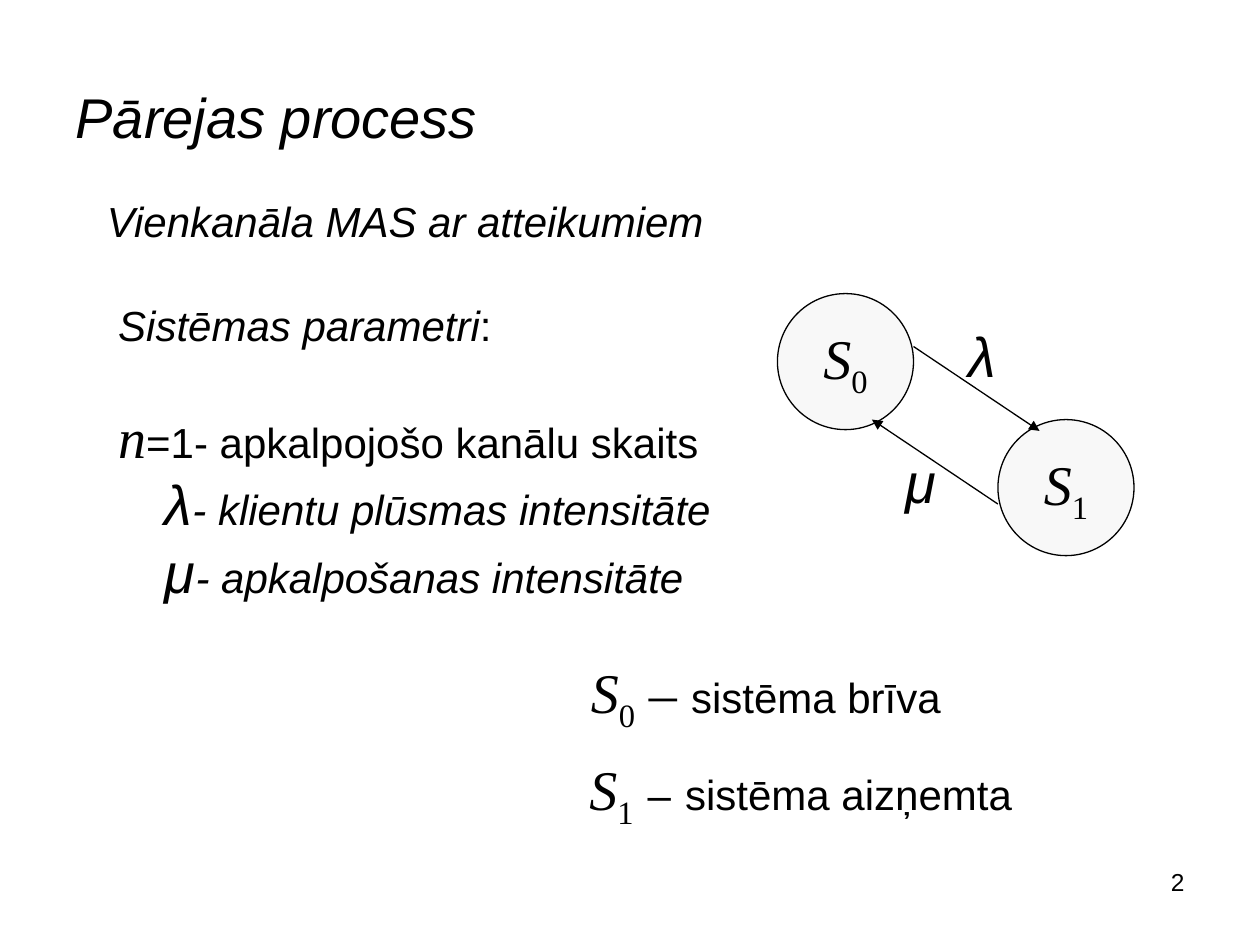
from pptx import Presentation
from pptx.dml.color import RGBColor
from pptx.enum.shapes import MSO_CONNECTOR as CONN, MSO_SHAPE as SHAPE
from pptx.enum.text import MSO_ANCHOR as ANCHOR, MSO_AUTO_SIZE as FIT, PP_ALIGN as ALIGN
from pptx.oxml.ns import qn
from pptx.util import Inches, Pt
from lxml.etree import SubElement

COLORS = {"ink": "000000", "state": "F8F8F8"}
SANS, SERIF = "Arial", "Times New Roman"
SIZE = 1.08


def color(name):
    return RGBColor.from_string(COLORS[name])


def style(font, size, italic=False, face=SANS):
    font.name, font.size, font.italic = face, Pt(size), italic
    font.color.rgb = color("ink")


def add_run(para, text, size=24, italic=False, face=SANS, sub=False):
    run = para.add_run()
    run.text = text
    style(run.font, size, italic, face)
    if sub:
        run._r.get_or_add_rPr().set("baseline", "-25000")


def add_state(para, index):
    """Write the symbol S with its index as a subscript."""
    add_run(para, "S", 32, True, SERIF)
    add_run(para, index, 32, face=SERIF, sub=True)


def add_box(slide, x, y, w, h):
    frame = slide.shapes.add_textbox(Inches(x), Inches(y), Inches(w), Inches(h)).text_frame
    frame.word_wrap = False
    frame.auto_size = FIT.SHAPE_TO_FIT_TEXT
    return frame


def add_label(slide, text, x, y, w, h, size, italic=True):
    para = add_box(slide, x, y, w, h).paragraphs[0]
    para.text = text
    style(para.font, size, italic)
    return para


def add_circle(slide, index, x, y):
    circle = slide.shapes.add_shape(SHAPE.OVAL, Inches(x), Inches(y), Inches(SIZE), Inches(SIZE))
    circle.shadow.inherit = False
    circle.fill.solid()
    circle.fill.fore_color.rgb = color("state")
    circle.line.color.rgb = color("ink")
    circle.line.width = Pt(0.75)
    frame = circle.text_frame
    frame.word_wrap = False
    frame.vertical_anchor = ANCHOR.MIDDLE
    para = frame.paragraphs[0]
    para.alignment = ALIGN.CENTER
    add_state(para, index)


def add_arrow(slide, start, end):
    ends = [Inches(v) for v in (*start, *end)]
    arrow = slide.shapes.add_connector(CONN.STRAIGHT, *ends)
    arrow.line.color.rgb = color("ink")
    arrow.line.width = Pt(0.75)
    props = arrow._element.spPr
    SubElement(props.find(qn("a:ln")), qn("a:tailEnd"), type="triangle")
    SubElement(props, qn("a:effectLst"))


def add_title(slide, text):
    title = slide.shapes.title
    title.left, title.top = Inches(0.5), Inches(0.3)
    title.width, title.height = Inches(9), Inches(1.25)
    frame = title.text_frame
    frame.text = text
    frame.vertical_anchor = ANCHOR.MIDDLE
    para = frame.paragraphs[0]
    para.alignment = ALIGN.LEFT
    style(para.font, 32, True)


def add_params(slide):
    frame = add_box(slide, 0.84, 2.33, 4.93, 2.5)
    head = frame.paragraphs[0]
    add_run(head, "Sistēmas parametri", italic=True)
    add_run(head, ":")
    count = frame.add_paragraph()
    count.space_before = Pt(30)
    add_run(count, "n", 32, True, SERIF)
    add_run(count, "=1- apkalpojošo kanālu skaits")
    for sign, text in (("λ", "klientu plūsmas"), ("μ", "apkalpošanas")):
        para = frame.add_paragraph()
        para._p.get_or_add_pPr().set("marL", str(Inches(0.37)))
        add_run(para, sign, 32, True)
        add_run(para, f"- {text} intensitāte", italic=True)


def add_legend(slide, index, text, x, y, w, dash):
    para = add_box(slide, x, y, w, 0.71).paragraphs[0]
    add_state(para, index)
    add_run(para, " ", 32, face=SERIF)
    add_run(para, "–", *dash)
    add_run(para, " ", 32, face=SERIF)
    add_run(para, text)


def main():
    prs = Presentation()
    prs.slide_width, prs.slide_height = Inches(10), Inches(7.5)
    slide = prs.slides.add_slide(prs.slide_layouts[5])
    add_title(slide, "Pārejas process")
    add_label(slide, "Vienkanāla MAS ar atteikumiem", 0.75, 1.5, 4.94, 0.5, 24)
    add_circle(slide, "0", 6.17, 2.33)
    add_circle(slide, "1", 7.92, 3.33)
    add_params(slide)
    add_arrow(slide, (7.25, 2.75), (8.25, 3.42))
    add_arrow(slide, (7.92, 4), (6.92, 3.33))
    add_label(slide, "λ", 7.59, 2.5, 0.44, 0.64, 32)
    add_label(slide, "μ", 7.09, 3.5, 0.45, 0.64, 32)
    add_legend(slide, "0", "sistēma brīva", 4.59, 5.17, 2.98, (32, False, SERIF))
    add_legend(slide, "1", "sistēma aizņemta", 4.58, 5.94, 3.55, (24,))
    number = add_label(slide, "2", 7.17, 6.83, 2.33, 0.52, 14, False)
    number.alignment = ALIGN.RIGHT
    number._parent.word_wrap = True
    number._parent.auto_size = FIT.NONE
    prs.save("out.pptx")


if __name__ == "__main__":
    main()
